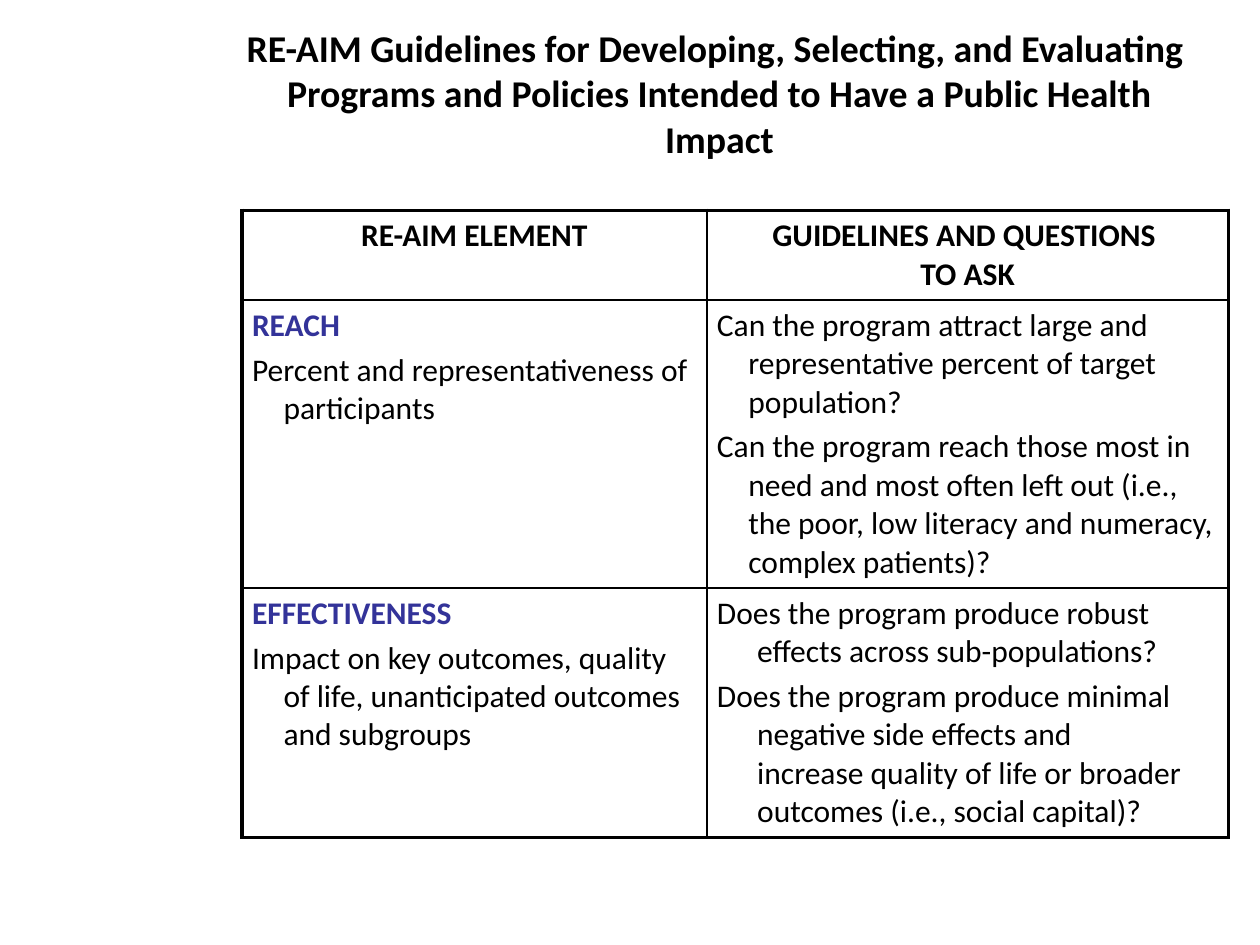
from lxml import etree
from pptx import Presentation, util as u
from pptx.dml.color import RGBColor
from pptx.enum import text
from pptx.oxml.ns import qn

BLACK = RGBColor(0, 0, 0)
INDIGO = RGBColor(0x33, 0x33, 0x99)
FONT = "Calibri"
THICK, THIN = 2.25, 1

TITLE = ["RE-AIM Guidelines for Developing, Selecting, and Evaluating ",
         "Programs and Policies Intended to Have a Public Health Impact"]
HEADERS = [["RE-AIM ELEMENT"], ["GUIDELINES AND QUESTIONS ", "TO ASK"]]
# Element, its meaning, questions (each a list of lines), hanging indent
ELEMENTS = [
    ("REACH", "Percent and representativeness of participants",
     [["Can the program attract large and representative percent of target population?"],
      ["Can the program reach those most in need and most often left out (i.e., "
       "the poor, low literacy and numeracy, complex patients)?"]], 0.25),
    ("EFFECTIVENESS",
     "Impact on key outcomes, quality of life, unanticipated outcomes and subgroups",
     [["Does the program produce robust effects across sub-populations?"],
      ["Does the program produce minimal negative side effects and ",
       "increase quality of life or broader outcomes (i.e., social capital)?"]], 0.32),
]
COLS = [3.69, 4.14]
ROWS = [0.7, 2.28, 1.97]


def write(p, lines, size, bold=False, color=BLACK):
    """Add the lines to a paragraph as runs parted by line breaks."""
    for i, line in enumerate(lines):
        if i:
            p.add_line_break()
        r = p.add_run()
        r.text = line
        f = r.font
        f.name, f.size, f.bold = FONT, u.Pt(size), bold
        f.color.rgb = color


def fill_cell(cell, paras, hang=0.0, centred=False):
    """Write (lines, bold, color) paragraphs with a hanging indent."""
    cell.fill.background()
    cell.margin_left = cell.margin_right = u.Inches(0.08)
    cell.margin_top = cell.margin_bottom = u.Inches(0.05)
    tf = cell.text_frame
    for i, (lines, bold, color) in enumerate(paras):
        p = tf.add_paragraph() if i else tf.paragraphs[0]
        p.alignment = text.PP_ALIGN.CENTER if centred else text.PP_ALIGN.LEFT
        p.space_before = u.Pt(3.6)
        if hang:
            pPr = p._p.get_or_add_pPr()
            pPr.set("marL", str(u.Inches(hang)))
            pPr.set("indent", str(-u.Inches(hang)))
        write(p, lines, 18, bold, color)


def set_borders(cell, row, col):
    """Draw thick lines on the table's outline and thin ones inside."""
    outer = {"L": col == 0, "R": col == len(COLS) - 1,
             "T": row == 0, "B": row == len(ROWS) - 1}
    tcPr = cell._tc.get_or_add_tcPr()
    for i, (side, thick) in enumerate(outer.items()):
        ln = etree.Element(qn("a:ln" + side), w=str(u.Pt(THICK if thick else THIN)))
        solid = etree.SubElement(ln, qn("a:solidFill"))
        etree.SubElement(solid, qn("a:srgbClr"), val=str(BLACK))
        tcPr.insert(i, ln)


def add_title(s):
    """Place and format the title placeholder."""
    sp = s.shapes.title
    sp.left, sp.top, sp.width, sp.height = map(u.Inches, (1.75, 0.11, 7.92, 1.25))
    tf = sp.text_frame
    tf.word_wrap = True
    tf.auto_size = text.MSO_AUTO_SIZE.NONE
    tf.vertical_anchor = text.MSO_ANCHOR.MIDDLE
    p = tf.paragraphs[0]
    p.alignment = text.PP_ALIGN.CENTER
    write(p, TITLE, 21.6, True)


def add_guidelines(s):
    """Build the table of RE-AIM elements and questions."""
    frame = s.shapes.add_table(len(ROWS), len(COLS), u.Inches(1.92), u.Inches(1.67),
                               u.Inches(sum(COLS)), u.Inches(sum(ROWS)))
    table = frame.table
    table.first_row = table.horz_banding = False
    for col, width in zip(table.columns, COLS):
        col.width = u.Inches(width)
    for row, height in zip(table.rows, ROWS):
        row.height = u.Inches(height)
    for c, lines in enumerate(HEADERS):
        fill_cell(table.cell(0, c), [(lines, True, BLACK)], centred=True)
    for i, (name, meaning, questions, hang) in enumerate(ELEMENTS, 1):
        fill_cell(table.cell(i, 0), [([name], True, INDIGO), ([meaning], False, BLACK)], 0.25)
        fill_cell(table.cell(i, 1), [(q, False, BLACK) for q in questions], hang)
    for i in range(len(ROWS)):
        for c in range(len(COLS)):
            set_borders(table.cell(i, c), i, c)


prs = Presentation()
prs.slide_width, prs.slide_height = u.Inches(10), u.Inches(7.5)
s = prs.slides.add_slide(prs.slide_layouts[5])
add_title(s)
add_guidelines(s)
prs.save("out.pptx")
